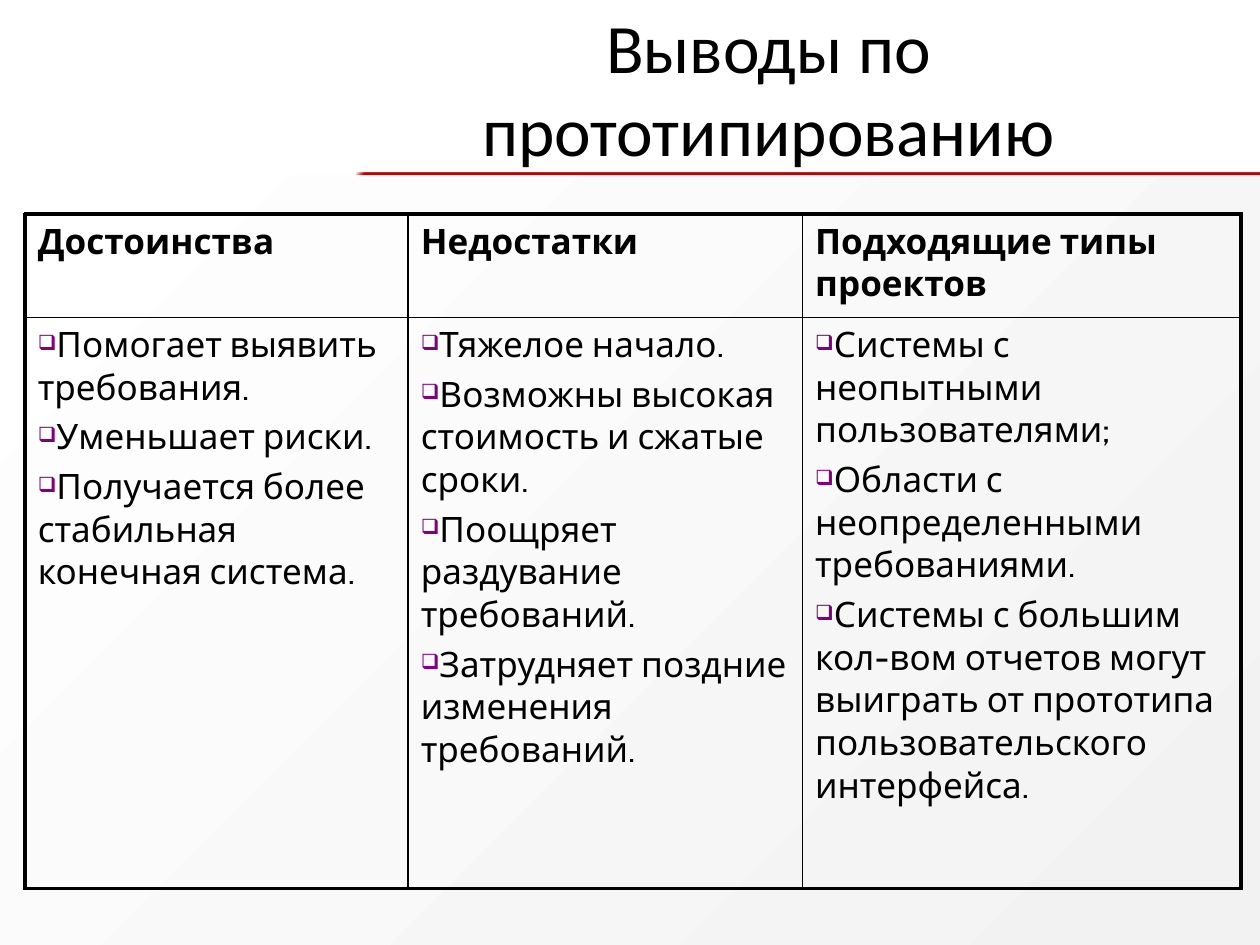
from dataclasses import dataclass

from pptx import Presentation
from pptx.dml.color import RGBColor
from pptx.enum.shapes import MSO_SHAPE
from pptx.enum.text import MSO_ANCHOR, MSO_AUTO_SIZE, PP_ALIGN
from pptx.oxml import parse_xml
from pptx.oxml.ns import nsdecls, qn
from pptx.util import Inches, Pt


@dataclass(frozen=True)
class Theme:
    text: str = "000000"
    accent: str = "C00000"
    bullet: str = "800080"
    light: str = "FFFFFF"
    shade: str = "F2F2F2"
    title_font: str = "Calibri"
    body_font: str = "Cabin"
    title_size: float = 39.6
    body_size: float = 20
    outer_line: float = 2.25
    inner_line: float = 1


THEME = Theme()
UNIT = Inches(0.1)  # the slide is a grid of 100 columns by 75 rows
COLUMNS, ROWS = 100, 75

TITLE = "Выводы по прототипированию"
CONCLUSIONS = {
    "Достоинства": [
        "Помогает выявить требования.",
        "Уменьшает риски.",
        "Получается более стабильная конечная система.",
    ],
    "Недостатки": [
        "Тяжелое начало.",
        "Возможны высокая стоимость и сжатые сроки.",
        "Поощряет раздувание требований.",
        "Затрудняет поздние изменения требований.",
    ],
    "Подходящие типы проектов": [
        "Системы с неопытными пользователями;",
        "Области с неопределенными требованиями.",
        "Системы с большим кол-вом отчетов могут выиграть от прототипа "
        "пользовательского интерфейса.",
    ],
}


def grid(*lengths):
    return [round(length * UNIT) for length in lengths]


def add_bullet(paragraph):
    properties = paragraph._p.get_or_add_pPr()
    properties.set("marL", "0")
    properties.set("indent", "0")
    for xml in (
        f'<a:buClr {nsdecls("a")}><a:srgbClr val="{THEME.bullet}"/></a:buClr>',
        f'<a:buSzPct {nsdecls("a")} val="60000"/>',
        f'<a:buChar {nsdecls("a")} char="❑"/>',
    ):
        properties.append(parse_xml(xml))


def write(paragraph, text, *, font=THEME.body_font, size=THEME.body_size,
          bold=False, align=PP_ALIGN.LEFT, before=0.2, bullet=False):
    paragraph.alignment = align
    paragraph.space_before = Pt(size * before)
    run = paragraph.add_run()
    run.text = text
    run.font.name = font
    run.font.size = Pt(size)
    run.font.bold = bold
    run.font.color.rgb = RGBColor.from_string(THEME.text)
    if bullet:
        add_bullet(paragraph)


def add_gradient_band(slide, box, stops):
    """Rectangle shaded from its top left corner; stops are (position, colour, alpha)."""
    shape = slide.shapes.add_shape(MSO_SHAPE.RECTANGLE, *grid(*box))
    stop_xml = "".join(
        f'<a:gs pos="{position * 1000}"><a:srgbClr val="{color}">'
        f'<a:alpha val="{alpha * 1000}"/></a:srgbClr></a:gs>'
        for position, color, alpha in stops
    )
    shape.element.spPr.append(parse_xml(
        f'<a:gradFill {nsdecls("a")} rotWithShape="1"><a:gsLst>{stop_xml}</a:gsLst>'
        '<a:path path="circle"><a:fillToRect r="100000" b="100000"/></a:path></a:gradFill>'
    ))
    shape.line.fill.background()
    shape.shadow.inherit = False


def add_backdrop(slide):
    add_gradient_band(slide, (28.3, 13.7, 71.7, 0.5), [
        (0, THEME.accent, 0), (1, THEME.accent, 100), (100, THEME.accent, 100)])
    add_gradient_band(slide, (0, 13.9, COLUMNS, ROWS - 13.9), [
        (0, THEME.light, 100), (100, THEME.shade, 100)])


def add_title(slide, box):
    title = slide.shapes.title
    title.left, title.top, title.width, title.height = grid(*box)
    frame = title.text_frame
    frame.word_wrap = True
    frame.auto_size = MSO_AUTO_SIZE.NONE
    frame.vertical_anchor = MSO_ANCHOR.MIDDLE
    write(frame.paragraphs[0], TITLE, font=THEME.title_font,
          size=THEME.title_size, align=PP_ALIGN.CENTER, before=0)


def format_cell(cell, outer_edges):
    properties = cell._tc.get_or_add_tcPr()
    for edge in "LRTB":
        width = THEME.outer_line if edge in outer_edges else THEME.inner_line
        properties.append(parse_xml(
            f'<a:ln{edge} {nsdecls("a")} w="{Pt(width)}"><a:solidFill>'
            f'<a:srgbClr val="{THEME.text}"/></a:solidFill></a:ln{edge}>'
        ))
    cell.fill.background()
    cell.vertical_anchor = MSO_ANCHOR.TOP


def add_conclusions(slide, box, column_widths, row_heights):
    last = len(column_widths) - 1
    frame = slide.shapes.add_table(len(row_heights), last + 1, *grid(*box))
    table = frame.table
    table.first_row = table.horz_banding = False
    for row, height in zip(table.rows, grid(*row_heights)):
        row.height = height

    for index, (heading, points) in enumerate(CONCLUSIONS.items()):
        table.columns[index].width = grid(column_widths[index])[0]
        sides = ("L" if index == 0 else "") + ("R" if index == last else "")

        # Heading cell
        header = table.cell(0, index)
        format_cell(header, sides + "T")
        write(header.text_frame.paragraphs[0], heading, bold=True)

        # Bulleted cell
        body = table.cell(1, index)
        format_cell(body, sides + "B")
        for number, point in enumerate(points):
            text_frame = body.text_frame
            paragraph = text_frame.add_paragraph() if number else text_frame.paragraphs[0]
            write(paragraph, point, bullet=True)


def main():
    presentation = Presentation()
    presentation.slide_width, presentation.slide_height = grid(COLUMNS, ROWS)
    slide = presentation.slides.add_slide(presentation.slide_layouts[5])
    add_backdrop(slide)
    add_title(slide, (24.2, 2.3, 73.6, 9.3))
    add_conclusions(slide, (2, 17, 96.5, 53.5), (30.4, 31.3, 34.8), (8.2, 45.3))
    presentation.save("out.pptx")


if __name__ == "__main__":
    main()
